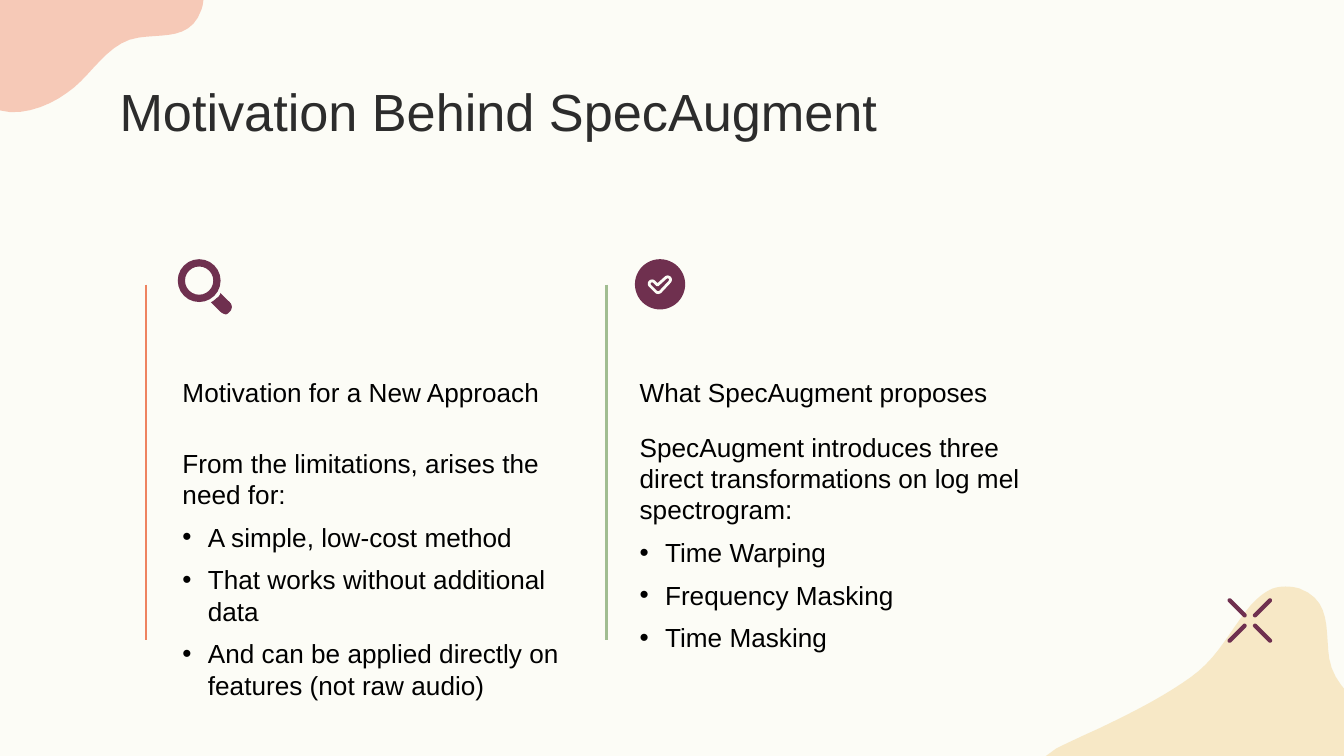
from lxml.etree import SubElement
from pptx import Presentation
from pptx.dml.color import RGBColor
from pptx.enum.shapes import MSO_CONNECTOR, MSO_SHAPE
from pptx.enum.text import MSO_ANCHOR
from pptx.oxml.ns import qn
from pptx.util import Cm, Pt

PAPER, INK, BLACK = "FCFCF6", "2C2C2C", "000000"
PLUM, PEACH, SAND = "6F304F", "F08461", "F0CD83"
GRID = Cm(2.54) / 100
CURVE_STEPS = 10

PEACH_BLOB = [
    (-94, -122), (-88, -94, -64, -78, -39, -69), (-32, -67, -24, -65, -19, -61),
    (-14, -56, -11, -49, -10, -42), (-5, -5, -39, 34, -17, 69),
    (-2, 93, 31, 83, 50, 69), (68, 57, 80, 31, 103, 28),
    (122, 25, 142, 30, 150, 7), (152, 1, 152, -6, 150, -12),
    (148, -17, 143, -22, 139, -26), (127, -36, 113, -45, 99, -53),
    (82, -62, 64, -68, 54, -86), (44, -106, 47, -130, 40, -151),
    (34, -170, 22, -186, 4, -196), (-33, -215, -79, -185, -92, -149),
    (-95, -140, -96, -130, -94, -122),
]
SAND_BLOB = [
    (830, 705), (832, 704, 834, 704, 835, 703), (848, 699, 858, 689, 868, 682),
    (912, 651, 966, 648, 1014, 631), (1053, 617, 1057, 580, 1034, 547),
    (1020, 528, 993, 515, 989, 490), (986, 469, 991, 447, 967, 438),
    (960, 436, 953, 436, 947, 438), (940, 441, 936, 445, 931, 450),
    (915, 469, 907, 489, 886, 504), (865, 519, 841, 531, 818, 542),
    (807, 547, 796, 552, 786, 557), (715, 592, 751, 726, 830, 705),
]
HANDLE = [
    (164, 218), (164, 219, 163, 221, 161, 222), (160, 223, 159, 224, 157, 225),
    (164, 232), (165, 233, 167, 234, 168, 234), (169, 234, 170, 233, 171, 232),
    (173, 230, 173, 227, 171, 225),
]
CHECK = [
    (495.5, 206.5), (497, 205.2, 500, 207, 498.5, 209.5), (491.5, 217),
    (490.3, 218, 489, 218, 488, 217), (483.5, 212.5),
    (482, 210.5, 484.5, 208, 486.5, 209.5), (489.2, 212.2),
]


def color(value):
    return RGBColor.from_string(value)


def paint(shape, fill, line=None, width=1.5, opacity=None):
    shape.shadow.inherit = False
    shape.fill.solid()
    shape.fill.fore_color.rgb = color(fill)
    if opacity:
        tint = shape._element.spPr.find(".//" + qn("a:srgbClr"))
        SubElement(tint, qn("a:alpha"), val=str(opacity * 1000))
    if line:
        shape.line.color.rgb = color(line)
        shape.line.width = Pt(width)
    else:
        shape.line.fill.background()


def curve_points(start, curve):
    corners = [start, curve[:2], curve[2:4], curve[4:]]
    for step in range(1, CURVE_STEPS + 1):
        t = step / CURVE_STEPS
        weights = ((1 - t) ** 3, 3 * t * (1 - t) ** 2, 3 * t * t * (1 - t), t ** 3)
        yield tuple(sum(w * c[axis] for w, c in zip(weights, corners)) for axis in (0, 1))


def add_outline(slide, outline, fill, **look):
    points = [outline[0]]
    for segment in outline[1:]:
        points.extend([segment] if len(segment) == 2 else curve_points(points[-1], segment))
    points = [(round(x * GRID), round(y * GRID)) for x, y in points]
    builder = slide.shapes.build_freeform(*points[0])
    builder.add_line_segments(points[1:], close=True)
    paint(builder.convert_to_shape(), fill, **look)


def add_preset(slide, kind, left, top, width, height, fill, turn=0, adjust=None):
    shape = slide.shapes.add_shape(kind, Cm(left), Cm(top), Cm(width), Cm(height))
    shape.rotation = turn
    if adjust is not None:
        shape.adjustments[0] = adjust
    paint(shape, fill)


def add_rule(slide, x, top, bottom, stroke):
    rule = slide.shapes.add_connector(MSO_CONNECTOR.STRAIGHT, Cm(x), Cm(top), Cm(x), Cm(bottom))
    rule.line.color.rgb = color(stroke)
    rule.line.width = Pt(1.5)
    SubElement(rule._element.spPr, qn("a:effectLst"))


def add_bullet(paragraph):
    paragraph.space_before = Pt(6)
    properties = paragraph._p.get_or_add_pPr()
    properties.set("marL", str(Cm(0.48)))
    properties.set("indent", str(-Cm(0.48)))
    SubElement(SubElement(properties, qn("a:buClr")), qn("a:srgbClr"), val=BLACK)
    SubElement(properties, qn("a:buFont"), typeface="Arial")
    SubElement(properties, qn("a:buChar"), char="•")


def add_text(slide, text, left, top, width, height, size=14, ink=BLACK,
             anchor=MSO_ANCHOR.TOP, bullets=()):
    frame = slide.shapes.add_textbox(Cm(left), Cm(top), Cm(width), Cm(height)).text_frame
    frame.word_wrap = True
    frame.vertical_anchor = anchor
    frame.margin_left = frame.margin_right = Cm(0.25)
    frame.margin_top = frame.margin_bottom = Cm(0.25)
    for index, line in enumerate([text, *bullets]):
        paragraph = frame.add_paragraph() if index else frame.paragraphs[0]
        if index:
            add_bullet(paragraph)
        run = paragraph.add_run()
        run.text = line
        run.font.name = "Arial"
        run.font.size = Pt(size)
        run.font.color.rgb = color(ink)


def add_column(slide, left, width, heading, intro, bullets, body_top):
    add_text(slide, heading, left, 6.76, width, 1.19, anchor=MSO_ANCHOR.BOTTOM)
    add_text(slide, intro, left, body_top, 7.8, 4.06, bullets=bullets)


def add_sparkle(slide, center_x, center_y):
    length, thickness, offset = 0.48, 0.08, 0.24
    for side in (-1, 1):
        for level in (-1, 1):
            add_preset(slide, MSO_SHAPE.ROUNDED_RECTANGLE,
                       center_x + side * offset - length / 2,
                       center_y + level * offset - thickness / 2,
                       length, thickness, PLUM, turn=45 * side * level, adjust=0.5)


def main():
    deck = Presentation()
    deck.slide_width, deck.slide_height = Cm(25.4), Cm(14.29)
    slide = deck.slides.add_slide(deck.slide_layouts[6])
    slide.background.fill.solid()
    slide.background.fill.fore_color.rgb = color(PAPER)

    add_outline(slide, PEACH_BLOB, PEACH, opacity=42)
    add_outline(slide, SAND_BLOB, SAND, opacity=41)
    add_sparkle(slide, 23.62, 11.73)

    add_text(slide, "Motivation Behind SpecAugment", 2.01, 1.24, 17.17, 1.6, size=28, ink=INK)
    add_column(slide, 3.2, 7.8, "Motivation for a New Approach",
               "From the limitations, arises the need for:",
               ["A simple, low-cost method",
                "That works without additional data",
                "And can be applied directly on features (not raw audio)"], 8.2)
    add_column(slide, 11.84, 9.22, "What SpecAugment proposes",
               "SpecAugment introduces three direct transformations on log mel spectrogram:",
               ["Time Warping", "Frequency Masking", "Time Masking"], 7.9)
    for x, stroke in ((2.76, "EE8360"), (11.46, "A1BD91")):
        add_rule(slide, x, 5.38, 12.09, stroke)

    add_outline(slide, HANDLE, PLUM)
    add_preset(slide, MSO_SHAPE.DONUT, 3.36, 4.9, 0.81, 0.81, PLUM, adjust=0.17)
    add_preset(slide, MSO_SHAPE.OVAL, 12, 4.9, 0.95, 0.95, PLUM)
    add_outline(slide, CHECK, PLUM, line=PAPER)
    deck.save("out.pptx")


if __name__ == "__main__":
    main()
